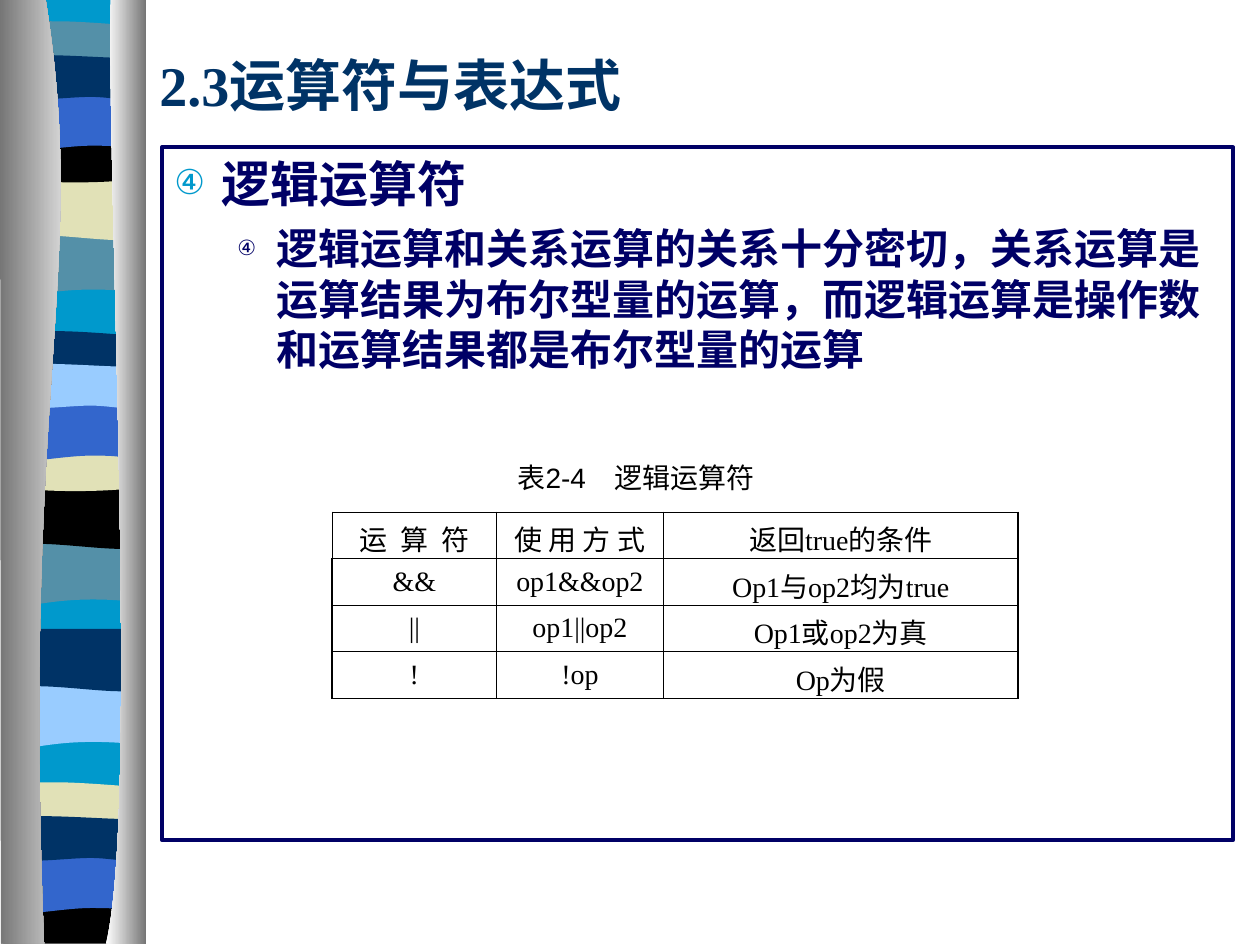
from lxml import etree
from pptx import Presentation
from pptx.dml.color import RGBColor
from pptx.enum import shapes, text
from pptx.oxml.ns import qn
from pptx.util import Pt

NAVY = RGBColor(0x00, 0x33, 0x66)
INDIGO = RGBColor(0x00, 0x00, 0x66)
CYAN = RGBColor(0x00, 0x99, 0xCC)
STEEL = RGBColor(0x54, 0x90, 0xA8)
BEIGE = RGBColor(0xE1, 0xE1, 0xB7)
BLUE = RGBColor(0x33, 0x66, 0xCC)
SKY = RGBColor(0x99, 0xCC, 0xFF)
BLACK = RGBColor(0, 0, 0)
WHITE = RGBColor(0xFF, 0xFF, 0xFF)
GREY = RGBColor(0x76, 0x76, 0x76)
SERIF = "Times New Roman"
SANS = "Arial"

TITLE = "2.3运算符与表达式"
# text, size, left margin, hanging indent, space before, bullet colour, bullet percent
POINTS = [
    ("逻辑运算符", 28, 27, 27, 0, CYAN, 70),
    ("逻辑运算和关系运算的关系十分密切，关系运算是运算结果为布尔型量的运算，"
     "而逻辑运算是操作数和运算结果都是布尔型量的运算", 24, 58.5, 22.5, 6, INDIGO, 50),
]
CAPTION = "表2-4\t逻辑运算符"
OPERATORS = [
    ("运 算 符", "使 用 方 式", "返回true的条件"),
    ("&&", "op1&&op2", "Op1与op2均为true"),
    ("||", "op1||op2", "Op1或op2为真"),
    ("!", "!op", "Op为假"),
]
COLUMN_WIDTHS = [93.75, 95.5, 202.6]
ROW_HEIGHT = 26.6

# Ribbon bands: top edge (left to right) and bottom edge (right to left),
# relative to the band's corner; two points make a line, more a Bezier chain
FLAT = [(0, 0), (78, 0)]
SAG = [(0, 0), (47.5, 3.6), (61, 0), (78, 0)]
BANDS = {
    "drip": (FLAT, [(78, 34), (24, 28), (13, 40), (0, 34)]),
    "swell": (FLAT, [(78, 34), (65, 39.6), (24, 29.5), (0, 34)]),
    "lens": ([(0, 0), (4.3, -3.6), (16.6, -2.9), (29.5, -2.9),
              (42.5, -2.9), (67.7, -0.7), (78, 0)],
             [(78, 17.3), (65, 20.2), (13, 20.2), (0, 17.3)]),
    "dip": (SAG, [(78, 23.4), (65, 27.4), (13, 27.4), (0, 23.4)]),
    "arch": (FLAT, [(78, 34), (65.5, 30), (60.5, 30), (47.5, 30),
                    (34.6, 30), (11.5, 34), (0, 34)]),
    "ripple": ([(0, 0), (10.8, -3.6), (52.6, 0), (65.5, 0),
                (78.5, 0), (75, 0), (78, 0)],
               [(78, 22.3), (72.7, 26), (60.5, 22.3), (47.5, 22.3),
                (34.6, 22.3), (8, 26), (0, 22.3)]),
    "base": (SAG, [(78, 26.6), (0, 26.6)]),
}
RIBBON_LEFT = 4.1
RIBBON = [
    ("drip", 133.2, STEEL), ("swell", 101.5, BEIGE), ("lens", 15.1, STEEL),
    ("dip", 77.8, BLACK), ("arch", 53.3, BLUE), ("ripple", 33.1, NAVY),
    ("drip", 310.3, STEEL), ("swell", 277.9, BLACK), ("lens", 192.2, NAVY),
    ("dip", 254.2, BEIGE), ("arch", 230.4, BLUE), ("ripple", 209.5, SKY),
    ("drip", 391.7, SKY), ("swell", 359.3, NAVY), ("lens", 450, BEIGE),
    ("base", 512.6, BLACK), ("arch", 488.9, BLUE), ("ripple", 468, NAVY),
]
# Columns: inner edge, outer edge, colours left to right
COLUMNS = [
    ([(26, -0.7), (51, 155.5), (12.2, 213), (25.2, 539.3)],
     [(0.5, 539.3), (0, -0.7)], (GREY, WHITE)),
    ([(63.4, -0.7), (60.5, 90), (79.9, 465), (60.5, 539.3)],
     [(83.5, 539.3), (83.5, 0)], (WHITE, GREY)),
]


def bend(outline, edges):
    """Turn the straight steps through control points into Bezier curves."""
    steps = list(outline._element.iter(qn("a:lnTo")))
    first = 0
    for edge in edges:
        if len(edge) > 2:
            for start in range(first, first + len(edge) - 1, 3):
                segment = steps[start:start + 3]
                bezier = etree.Element(qn("a:cubicBezTo"))
                segment[0].addprevious(bezier)
                for step in segment:
                    bezier.append(step[0])
                    step.getparent().remove(step)
        first += len(edge)


def add_outline(slide, edges, colours, left=0, top=0):
    corners = [(Pt(left + x), Pt(top + y)) for edge in edges for x, y in edge]
    builder = slide.shapes.build_freeform(*corners[0])
    builder.add_line_segments(corners[1:], close=True)
    outline = builder.convert_to_shape()
    bend(outline, edges)
    outline.shadow.inherit = False
    outline.line.fill.background()
    if len(colours) == 1:
        outline.fill.solid()
        outline.fill.fore_color.rgb = colours[0]
    else:
        outline.fill.gradient()
        outline.fill.gradient_angle = 0
        for stop, colour in zip(outline.fill.gradient_stops, colours):
            stop.color.rgb = colour


def write(paragraph, words, size=16, font=SERIF, colour=BLACK, bold=False,
          align=text.PP_ALIGN.LEFT, spacing=0):
    paragraph.alignment = align
    run = paragraph.add_run()
    run.text = words
    run.font.size = Pt(size)
    run.font.name = font
    run.font.color.rgb = colour
    run.font.bold = bold
    if spacing:
        run.font._element.set("spc", str(spacing * 100))


def add_bullet(paragraph, margin, hanging, colour, percent):
    properties = paragraph._p.get_or_add_pPr()
    properties.set("marL", str(Pt(margin)))
    properties.set("indent", str(-Pt(hanging)))
    bullet_colour = etree.SubElement(properties, qn("a:buClr"))
    etree.SubElement(bullet_colour, qn("a:srgbClr"), val=str(colour))
    etree.SubElement(properties, qn("a:buSzPct"), val=str(percent * 1000))
    etree.SubElement(properties, qn("a:buFont"), typeface=SANS)
    etree.SubElement(properties, qn("a:buChar"), char="④")


def add_border(cell, side, width):
    line = etree.SubElement(cell._tc.get_or_add_tcPr(), qn("a:ln" + side), w=str(Pt(width)))
    fill = etree.SubElement(line, qn("a:solidFill"))
    etree.SubElement(fill, qn("a:srgbClr"), val=str(BLACK))


def add_label(slide, left, top, width, height):
    frame = slide.shapes.add_textbox(Pt(left), Pt(top), Pt(width), Pt(height)).text_frame
    frame.word_wrap = True
    frame.vertical_anchor = text.MSO_ANCHOR.MIDDLE
    return frame.paragraphs[0]


def main():
    deck = Presentation()
    deck.slide_width, deck.slide_height = Pt(720), Pt(540)
    slide = deck.slides.add_slide(deck.slide_layouts[6])

    # Ribbon between two columns
    add_outline(slide, [FLAT, [(78, 538.5), (0, 538.5)]], [CYAN], RIBBON_LEFT, -0.7)
    for kind, top, colour in RIBBON:
        add_outline(slide, BANDS[kind], [colour], RIBBON_LEFT, top)
    for inner, outer, colours in COLUMNS:
        add_outline(slide, [inner, outer], colours)

    # Title
    write(add_label(slide, 84, 23.8, 612, 48), TITLE, size=32, colour=NAVY, bold=True)

    # Framed points
    panel = slide.shapes.add_shape(shapes.MSO_SHAPE.RECTANGLE,
                                   Pt(92.6), Pt(84.2), Pt(612), Pt(396))
    panel.shadow.inherit = False
    panel.fill.background()
    panel.line.color.rgb = INDIGO
    panel.line.width = Pt(2.25)
    frame = panel.text_frame
    frame.word_wrap = True
    frame.vertical_anchor = text.MSO_ANCHOR.TOP
    for number, (words, size, margin, hanging, before, colour, percent) in enumerate(POINTS):
        paragraph = frame.add_paragraph() if number else frame.paragraphs[0]
        add_bullet(paragraph, margin, hanging, colour, percent)
        paragraph.space_before = Pt(before)
        write(paragraph, words, size=size, colour=INDIGO, bold=True)

    # Caption
    caption = add_label(slide, 288.7, 258, 150, 29)
    tabs = etree.SubElement(caption._p.get_or_add_pPr(), qn("a:tabLst"))
    etree.SubElement(tabs, qn("a:tab"), pos=str(Pt(55.5)), algn="l")
    write(caption, CAPTION, font=SANS)

    # Operator table
    table = slide.shapes.add_table(
        len(OPERATORS), len(COLUMN_WIDTHS), Pt(189.9), Pt(292.6),
        Pt(sum(COLUMN_WIDTHS)), Pt(ROW_HEIGHT * len(OPERATORS))).table
    table.first_row = table.horz_banding = False
    for column, width in zip(table.columns, COLUMN_WIDTHS):
        column.width = Pt(width)
    for r, operator in enumerate(OPERATORS):
        table.rows[r].height = Pt(ROW_HEIGHT)
        for c, words in enumerate(operator):
            cell = table.cell(r, c)
            add_border(cell, "L", 1.08 if c == 0 and r else 0.45)
            add_border(cell, "R", 1.08 if c == len(operator) - 1 else 0.45)
            add_border(cell, "T", 0.45)
            add_border(cell, "B", 0.45)
            cell.fill.background()
            cell.vertical_anchor = text.MSO_ANCHOR.MIDDLE
            write(cell.text_frame.paragraphs[0], words, align=text.PP_ALIGN.CENTER,
                  spacing=2 if (r, c) == (0, 0) else 0)

    deck.save("out.pptx")


if __name__ == "__main__":
    main()
